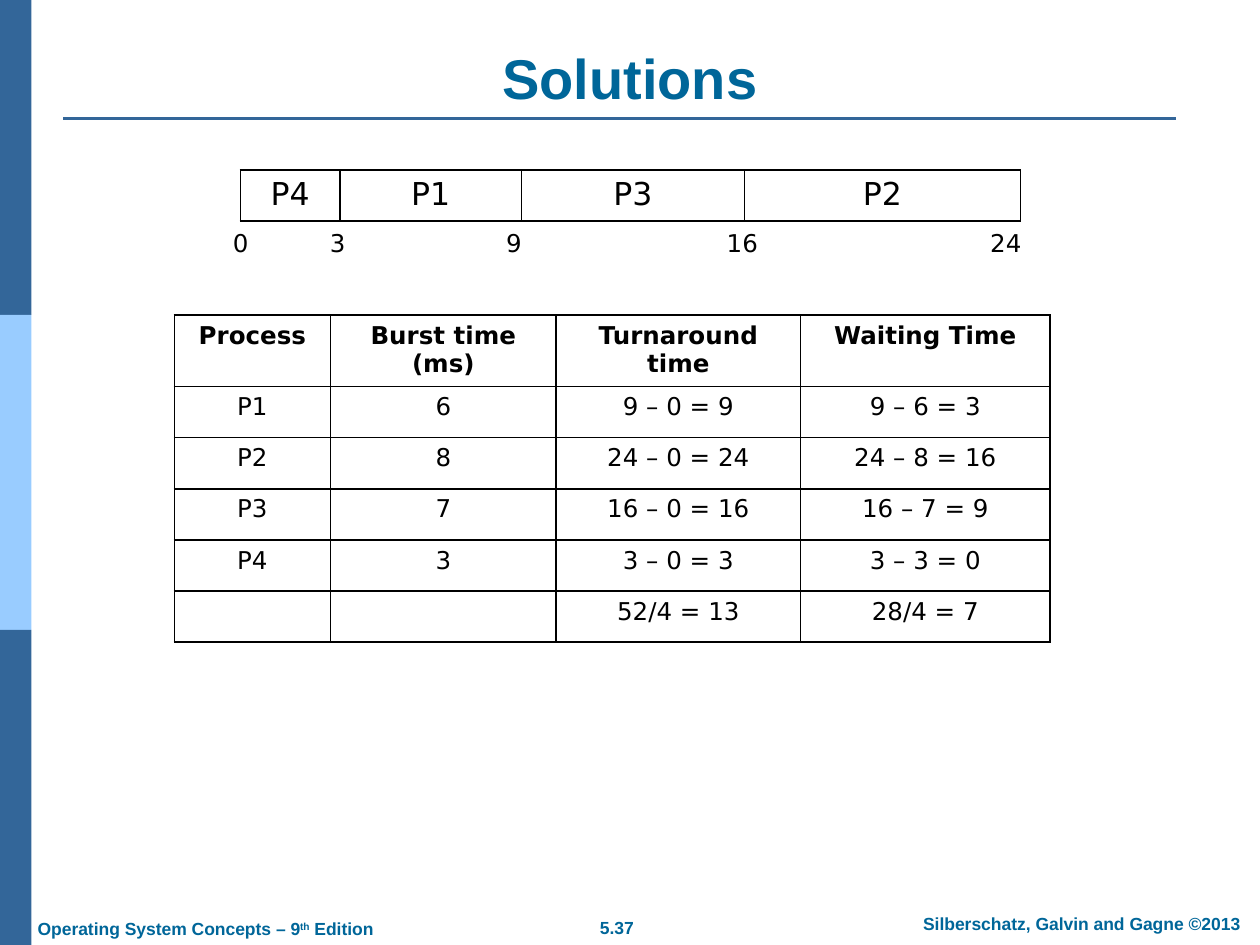
from pptx import Presentation
from pptx.dml.color import RGBColor
from pptx.enum import shapes, text
from pptx.oxml import parse_xml
from pptx.oxml.ns import nsdecls
from pptx.util import Pt

THEME = dict(
    accent="006699", bar="336699", light="99CCFF", ink="000000",
    heading="Arial", body="DejaVu Sans",
    title=32, gantt=18, table=14, footer=10,
)

TITLE = "Solutions"
GANTT = ["P4", "P1", "P3", "P2"]
GANTT_COLS = [56.9, 103.7, 127.4, 157.7]
TICKS = [("0", 126), ("3", 181.4), ("9", 282.2), ("16", 408.2), ("24", 558.7)]
RESULTS = [
    ["Process", "Burst time (ms)", "Turnaround time", "Waiting Time"],
    ["P1", "6", "9 – 0 = 9", "9 – 6 = 3"],
    ["P2", "8", "24 – 0 = 24", "24 – 8 = 16"],
    ["P3", "7", "16 – 0 = 16", "16 – 7 = 9"],
    ["P4", "3", "3 – 0 = 3", "3 – 3 = 0"],
    ["", "", "52/4 = 13", "28/4 = 7"],
]
RESULT_COLS = [89.3, 128.9, 139.7, 142.6]
ROW_HEIGHT = 29.25
LEFT, CENTER = text.PP_ALIGN.LEFT, text.PP_ALIGN.CENTER
# runs as (text, raised), box, alignment, wrap
FOOTERS = [
    ([("5.37", False)], (334.8, 520.6, 35.3, 19.4), CENTER, False),
    ([("Silberschatz, Galvin and Gagne ©2013", False)],
     (511.2, 518.4, 213.8, 19.4), CENTER, True),
    ([("Operating System Concepts – 9", False), ("th", True), (" Edition", False)],
     (14.4, 521.3, 208.1, 19.4), LEFT, False),
]


def rgb(name):
    return RGBColor.from_string(THEME[name])


def write(tf, runs, size, font="body", color="ink", bold=False, align=LEFT):
    p = tf.paragraphs[0]
    p.alignment = align
    p.font.size = Pt(THEME[size])
    for words, raised in [(runs, False)] if isinstance(runs, str) else runs:
        if not words:
            continue
        r = p.add_run()
        r.text = words
        r.font.name = THEME[font]
        r.font.size = Pt(THEME[size])
        r.font.bold = bold
        r.font.color.rgb = rgb(color)
        if raised:
            r.font._element.set("baseline", "30000")


def add_text(slide, runs, box, wrap=False, **fmt):
    tf = slide.shapes.add_textbox(*map(Pt, box)).text_frame
    tf.word_wrap = wrap
    write(tf, runs, **fmt)


def add_border(cell):
    tc_pr = cell._tc.get_or_add_tcPr()
    for i, side in enumerate(("lnL", "lnR", "lnT", "lnB")):
        tc_pr.insert(i, parse_xml(
            f'<a:{side} {nsdecls("a")} w="{Pt(1)}"><a:solidFill>'
            f'<a:srgbClr val="{THEME["ink"]}"/></a:solidFill></a:{side}>'))


def add_grid(slide, rows, cols, left, top, size, header=False):
    table = slide.shapes.add_table(
        len(rows), len(cols), Pt(left), Pt(top),
        Pt(sum(cols)), Pt(ROW_HEIGHT * len(rows))).table
    table.first_row = header
    table.horz_banding = False
    for column, width in zip(table.columns, cols):
        column.width = Pt(width)
    for i, row in enumerate(rows):
        table.rows[i].height = Pt(ROW_HEIGHT)
        for j, words in enumerate(row):
            cell = table.cell(i, j)
            cell.fill.background()
            add_border(cell)
            write(cell.text_frame, words, size, bold=header and i == 0, align=CENTER)


def add_frame(slide):
    """Draw the side bar and the rule under the title."""
    for i, color in enumerate(("bar", "light", "bar")):
        sp = slide.shapes.add_shape(
            shapes.MSO_SHAPE.RECTANGLE, 0, Pt(180 * i), Pt(18), Pt(180))
        sp.shadow.inherit = False
        sp.fill.solid()
        sp.fill.fore_color.rgb = rgb(color)
        sp.line.fill.background()
    rule = slide.shapes.add_connector(
        shapes.MSO_CONNECTOR.STRAIGHT, Pt(36), Pt(67.7), Pt(672), Pt(67.7))
    rule.line.color.rgb = rgb("bar")
    rule.line.width = Pt(1.5)
    rule._element.spPr.append(parse_xml(f'<a:effectLst {nsdecls("a")}/>'))


def add_title(slide):
    sp = slide.shapes.title
    sp.left, sp.top, sp.width, sp.height = map(Pt, (36, 21.6, 648, 45.4))
    tf = sp.text_frame
    tf.auto_size = text.MSO_AUTO_SIZE.NONE
    tf.vertical_anchor = text.MSO_ANCHOR.BOTTOM
    write(tf, TITLE, "title", font="heading", color="accent", bold=True, align=CENTER)


def main():
    prs = Presentation()
    prs.slide_width, prs.slide_height = Pt(720), Pt(540)
    slide = prs.slides.add_slide(prs.slide_layouts[5])
    add_frame(slide)
    add_title(slide)
    for runs, box, align, wrap in FOOTERS:
        add_text(slide, runs, box, wrap, size="footer", font="heading",
                 color="accent", bold=True, align=align)
    add_grid(slide, RESULTS, RESULT_COLS, 99.6, 180, "table", header=True)
    add_grid(slide, [GANTT], GANTT_COLS, 137.4, 97.2, "gantt")
    for label, left in TICKS:
        width = 23.8 if len(label) == 1 else 32.4
        add_text(slide, label, (left, 126.7, width, 24.3), size="table")
    prs.save("out.pptx")


if __name__ == "__main__":
    main()
